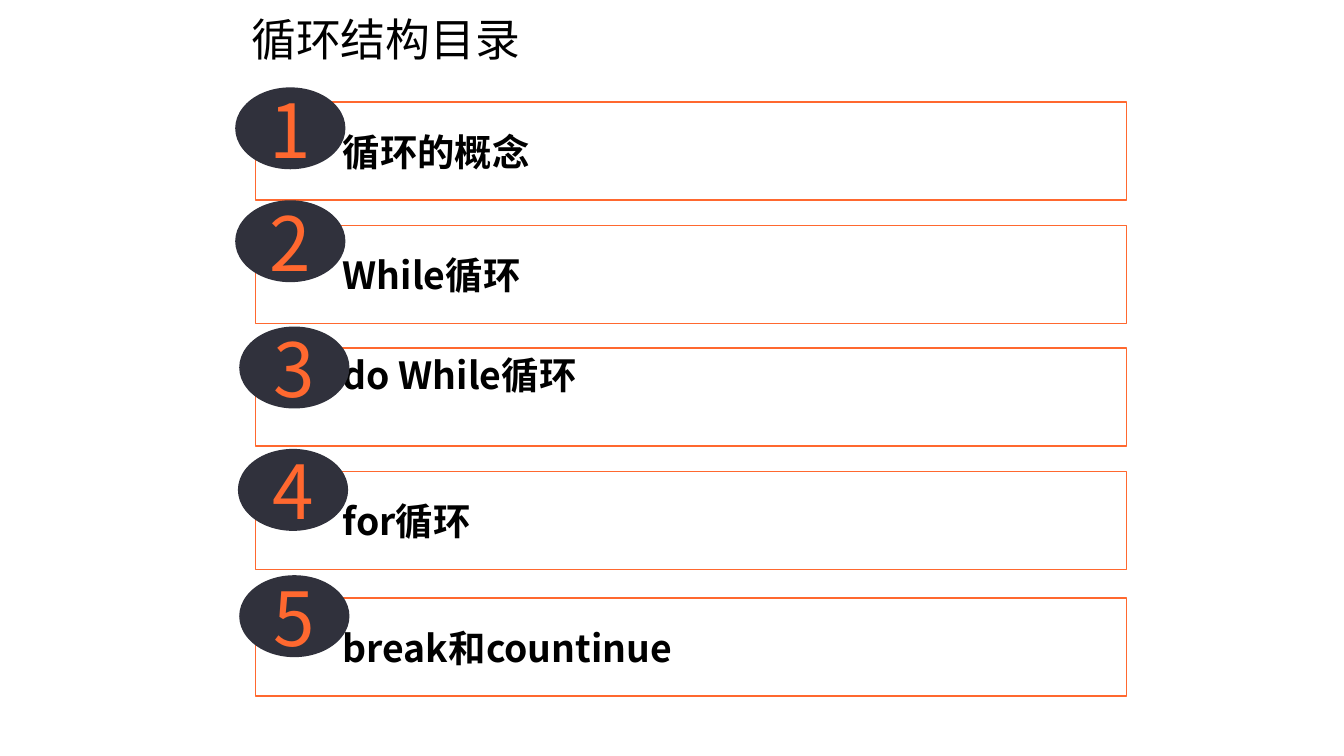
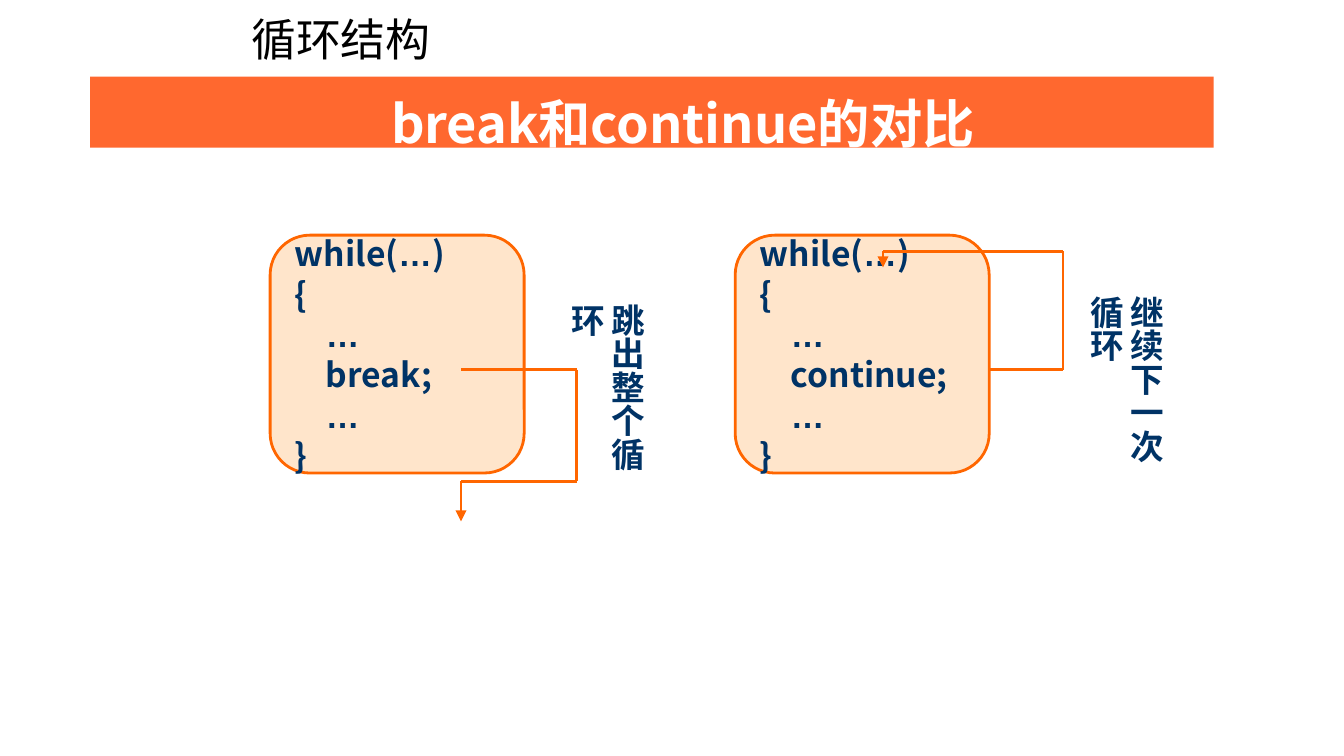
from dataclasses import dataclass
from itertools import pairwise

from lxml.etree import SubElement
from pptx import Presentation
from pptx.dml.color import RGBColor
from pptx.enum.shapes import MSO_CONNECTOR, MSO_SHAPE
from pptx.enum.text import MSO_ANCHOR, MSO_AUTO_SIZE, PP_ALIGN
from pptx.oxml.ns import qn
from pptx.util import Emu, Inches, Pt

CELL = Inches(0.1)
COLUMNS, ROWS = 100, 56.25

HAN_FONT, LATIN_FONT = "Noto Sans CJK SC", "Arial"
BLACK, WHITE = "000000", "FFFFFF"
ORANGE, DARK = "FF682F", "30313C"
FLOW, PEACH, NAVY = "FF6600", "FFCC99", "003366"
INSETS = (1, 0.5, 1, 0.5)


@dataclass(frozen=True)
class Frame:
    column: float
    row: float
    columns: float
    rows: float

    def place(self) -> tuple[Emu, ...]:
        return tuple(map(cells, (self.column, self.row, self.columns, self.rows)))


@dataclass(frozen=True)
class Topic:
    text: str
    row: float
    badge_column: float
    badge_row: float
    at_top: bool = False


@dataclass(frozen=True)
class Jump:
    keyword: str
    column: float
    route: tuple[tuple[float, float], ...]
    label: str
    label_frame: Frame


TOPICS = (
    Topic("循环的概念", 7.6, 17.5, 6.5),
    Topic("While循环", 16.8, 17.5, 14.9),
    Topic("do While循环", 25.9, 17.8, 24.3, at_top=True),
    Topic("for循环", 35.1, 17.7, 33.4),
    Topic("break和countinue", 44.5, 17.8, 42.8),
)

JUMPS = (
    Jump("break", 20.1,
         ((34.3, 27.5), (42.9, 27.5), (42.9, 35.8), (34.3, 35.8), (34.3, 38.8)),
         "跳出整个循环", Frame(40.7, 21.6, 8, 14.8)),
    Jump("continue", 54.7,
         ((73.6, 27.5), (79.1, 27.5), (79.1, 18.7), (65.7, 18.7), (65.7, 19.9)),
         "继续下一次循环", Frame(79.3, 21, 8, 14.8)),
)


def cells(count: float) -> Emu:
    return Emu(round(count * CELL))


def color(code: str) -> RGBColor:
    return RGBColor.from_string(code)


def write(para, text: str, *, size: float, ink: str, bold: bool = False,
          font: str = HAN_FONT, align=PP_ALIGN.LEFT) -> None:
    para.alignment = align
    span = para.add_run()
    span.text = text
    span.font.size = Pt(size)
    span.font.bold = bold
    span.font.name = font
    span.font.color.rgb = color(ink)
    SubElement(span.font._element, qn("a:ea"), typeface=font)


def prepare(box, insets=INSETS, anchor=MSO_ANCHOR.TOP):
    frame = box.text_frame
    frame.word_wrap = True
    frame.auto_size = MSO_AUTO_SIZE.NONE
    frame.vertical_anchor = anchor
    (frame.margin_left, frame.margin_top,
     frame.margin_right, frame.margin_bottom) = map(cells, insets)
    return frame


def add_box(page, kind, frame: Frame, fill: str, *, opacity: int = 100,
            line: str | None = None, width: float = 0.75):
    box = page.shapes.add_shape(kind, *frame.place())
    box.shadow.inherit = False
    box.fill.solid()
    box.fill.fore_color.rgb = color(fill)
    if opacity < 100:
        tint = box._element.spPr.find(qn("a:solidFill"))[0]
        SubElement(tint, qn("a:alpha"), val=str(opacity * 1000))
    if line:
        box.line.color.rgb = color(line)
        box.line.width = Pt(width)
    else:
        box.line.fill.background()
    return box


def add_text(page, frame: Frame, text: str, *, insets=INSETS, **style):
    box = page.shapes.add_textbox(*frame.place())
    write(prepare(box, insets).paragraphs[0], text, **style)
    return box


def add_page(deck, title: str):
    page = deck.slides.add_slide(deck.slide_layouts[5])
    heading = page.shapes.title
    heading.left, heading.top, heading.width, heading.height = Frame(17.7, 0.4, 26.8, 5).place()
    write(prepare(heading).paragraphs[0], title, size=24, ink=BLACK)
    return page


def add_topic(page, number: int, topic: Topic) -> None:
    box = add_box(page, MSO_SHAPE.RECTANGLE, Frame(19, topic.row, 64.8, 7.3), WHITE,
                  opacity=40, line=ORANGE)
    anchor = MSO_ANCHOR.TOP if topic.at_top else MSO_ANCHOR.MIDDLE
    inset = 0.3 if topic.at_top else 0.8
    frame = prepare(box, (6.5, inset, 0.8, inset), anchor)
    write(frame.paragraphs[0], topic.text, size=20, ink=BLACK, bold=True)

    badge = add_box(page, MSO_SHAPE.OVAL,
                    Frame(topic.badge_column, topic.badge_row, 8.2, 6.1), DARK)
    write(prepare(badge, anchor=MSO_ANCHOR.MIDDLE).paragraphs[0], str(number),
          size=40, ink=ORANGE, align=PP_ALIGN.CENTER)


def add_code(page, jump: Jump) -> None:
    box = add_box(page, MSO_SHAPE.FLOWCHART_ALTERNATE_PROCESS,
                  Frame(jump.column, 17.5, 18.9, 17.7), PEACH,
                  opacity=50, line=FLOW, width=1.5)
    frame = prepare(box, anchor=MSO_ANCHOR.MIDDLE)
    lines = (("while(", "…", ")"), ("{",), ("…",), (f"{jump.keyword};",), ("…",), ("}",))
    for index, parts in enumerate(lines):
        para = frame.add_paragraph() if index else frame.paragraphs[0]
        for part in parts:
            write(para, part, size=18, ink=NAVY, bold=True,
                  font=LATIN_FONT if part == "…" else HAN_FONT)
        if 2 <= index <= 4:
            para._p.get_or_add_pPr().set("marL", str(cells(2.3)))


def add_route(page, points: tuple[tuple[float, float], ...]) -> None:
    for start, end in pairwise(points):
        link = page.shapes.add_connector(MSO_CONNECTOR.STRAIGHT, *map(cells, start + end))
        link.line.color.rgb = color(FLOW)
        link.line.width = Pt(1.5)
        if end == points[-1]:
            SubElement(link.line._get_or_add_ln(), qn("a:tailEnd"), type="triangle")
        SubElement(link._element.spPr, qn("a:effectLst"))


def add_jump(page, jump: Jump) -> None:
    add_code(page, jump)
    add_route(page, jump.route)
    label = add_text(page, jump.label_frame, jump.label, insets=(0.5, 1, 0.5, 1),
                     size=18, ink=NAVY, bold=True, font=LATIN_FONT)
    label.text_frame.paragraphs[0].space_before = Pt(11.2)
    label.text_frame._txBody.bodyPr.set("vert", "eaVert")


def main() -> None:
    deck = Presentation()
    deck.slide_width, deck.slide_height = cells(COLUMNS), cells(ROWS)

    contents = add_page(deck, "循环结构目录")
    for number, topic in enumerate(TOPICS, start=1):
        add_topic(contents, number, topic)

    comparison = add_page(deck, "循环结构")
    add_box(comparison, MSO_SHAPE.RECTANGLE, Frame(6.7, 5.7, 83.6, 5.3), ORANGE)
    add_text(comparison, Frame(13, 6.3, 75.6, 5.7), "break和continue的对比",
             size=28, ink=WHITE, bold=True, align=PP_ALIGN.CENTER)
    for jump in JUMPS:
        add_jump(comparison, jump)

    deck.save("out.pptx")


if __name__ == "__main__":
    main()
